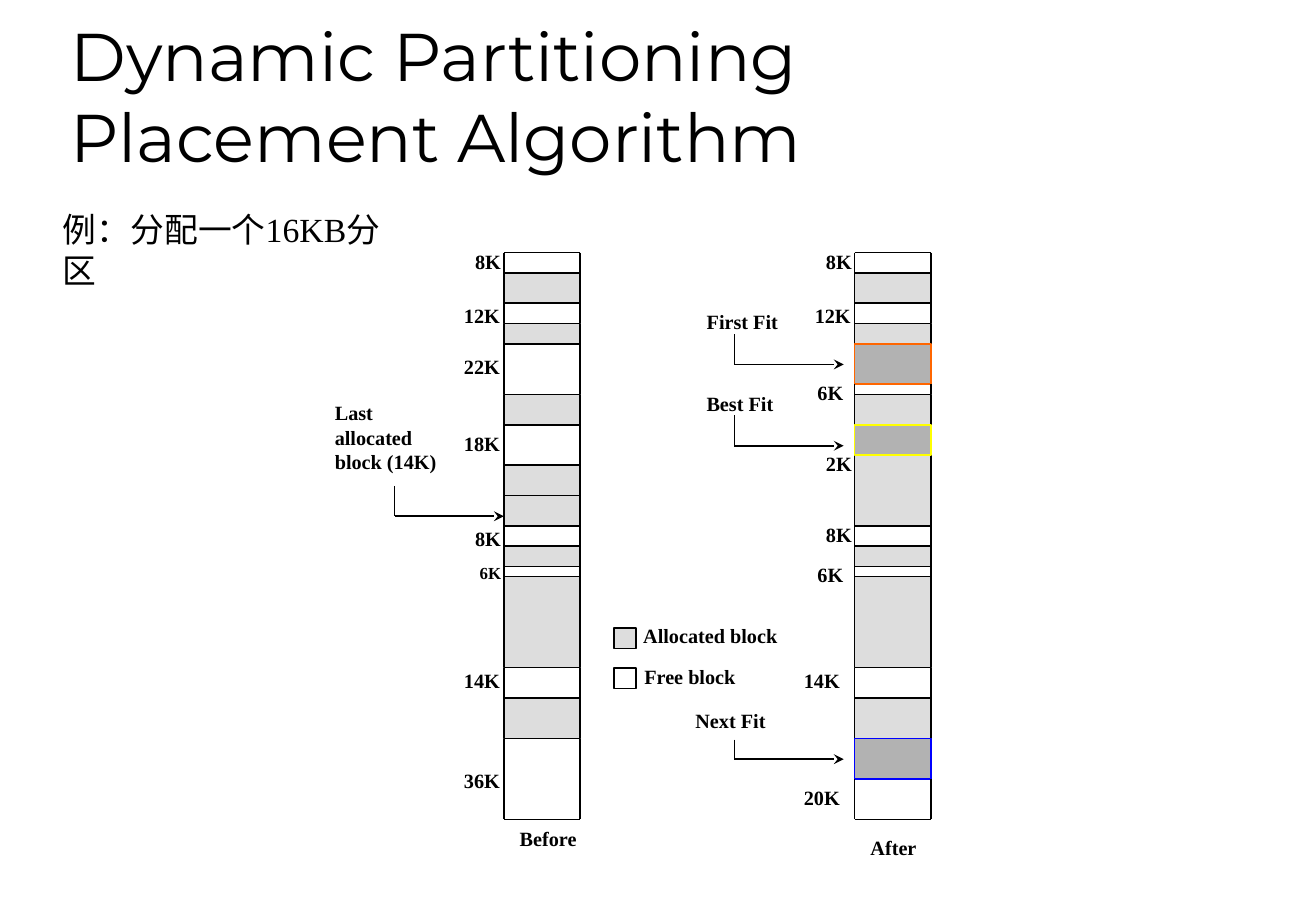
from lxml import etree
from pptx import Presentation
from pptx.dml.color import RGBColor
from pptx.enum.shapes import MSO_CONNECTOR, MSO_SHAPE
from pptx.enum.text import MSO_ANCHOR, MSO_AUTO_SIZE, PP_ALIGN
from pptx.oxml.ns import qn
from pptx.util import Inches, Pt

RECTANGLE = MSO_SHAPE.RECTANGLE
STRAIGHT = MSO_CONNECTOR.STRAIGHT
BOTTOM = MSO_ANCHOR.BOTTOM
NO_FIT = MSO_AUTO_SIZE.NONE
GROW = MSO_AUTO_SIZE.SHAPE_TO_FIT_TEXT
LEFT = PP_ALIGN.LEFT
CENTER = PP_ALIGN.CENTER

SERIF = "Times New Roman"
CJK = "Noto Sans CJK SC"
BLACK = "000000"
MARGINS = {"margin_left": Inches(0.1), "margin_right": Inches(0.1),
           "margin_top": Inches(0.05), "margin_bottom": Inches(0.05)}
TITLE_FRAME = {**MARGINS, "word_wrap": True, "auto_size": NO_FIT,
               "vertical_anchor": BOTTOM}
LABEL_FRAME = {**MARGINS, "word_wrap": False, "auto_size": GROW}
NOTE_FRAME = {**LABEL_FRAME, "word_wrap": True}
TITLE_FONT = {"name": "Montserrat", "size": Pt(40), "bold": False}
LABEL_FONT = {"name": SERIF, "size": Pt(12), "bold": True}
NOTE_FONT = {"name": SERIF, "size": Pt(20), "bold": False}

BLOCK_STYLES = {
    "used": ("DDDDDD", BLACK),
    "first": ("B2B2B2", "FF6600"),
    "best": ("B2B2B2", "FFFF00"),
    "next": ("B2B2B2", "0000FF"),
    "free": ("FFFFFF", BLACK),
}
BLOCK_UNIT = 1 / 12
LABEL_HEIGHT = 0.3
MEMORY_TOP, MEMORY_WIDTH = 2.08, 0.63
BEFORE_LEFT, AFTER_LEFT = 4.15, 7.04
LAST_ALLOCATED_TOP = 4.08

BEFORE_BLOCKS = [
    ("free", 2), ("used", 3), ("free", 2), ("used", 2), ("free", 5), ("used", 3),
    ("free", 4), ("used", 6), ("free", 2), ("used", 2), ("free", 1),
    ("used", 9), ("free", 3), ("used", 4), ("free", 8),
]
AFTER_BLOCKS = [
    ("free", 2), ("used", 3), ("free", 2), ("used", 2), ("first", 4), ("free", 1),
    ("used", 3), ("best", 3), ("used", 7), ("free", 2), ("used", 2), ("free", 1),
    ("used", 9), ("free", 3), ("used", 4), ("next", 4), ("free", 4),
]
BEFORE_SIZES = [
    ("8K", 0.08, 2, 12), ("12K", 0.07, 2.45, 12), ("22K", 0.07, 2.87, 12),
    ("18K", 0.07, 3.5, 12), ("8K", 0.08, 4.28, 12), ("6K", 0.08, 4.58, 10),
    ("14K", 0.07, 5.45, 12), ("36K", 0.07, 6.28, 12),
]
AFTER_SIZES = [
    ("8K", 0.08, 2, 12), ("12K", 0.07, 2.45, 12), ("6K", 0.01, 3.08, 12),
    ("2K", 0.08, 3.67, 12), ("8K", 0.08, 4.25, 12), ("6K", 0.01, 4.58, 12),
    ("14K", -0.02, 5.45, 12), ("20K", -0.02, 6.42, 12),
]
SIZE_WIDTHS = {("8K", 12): 0.42, ("6K", 12): 0.42, ("2K", 12): 0.42, ("6K", 10): 0.38}
POINTERS = [
    (["Last", "allocated", "block (14K)"], (2.66, 3.25, 1.04, 0.7), LEFT, (3.25, 4, 4.25)),
    (["First Fit"], (5.72, 2.5, 0.79, LABEL_HEIGHT), CENTER, (6.05, 2.75, 3)),
    (["Best Fit"], (5.72, 3.17, 0.75, LABEL_HEIGHT), CENTER, (6.05, 3.42, 3.67)),
    (["Next Fit"], (5.63, 5.78, 0.78, LABEL_HEIGHT), LEFT, (6.05, 6.09, 6.25)),
]
POINTER_LENGTH = 0.9
LEGEND = [("used", "Allocated block", 0.14, -0.09, 1.31),
          ("free", "Free block", 0.15, -0.08, 0.96)]


def color(hex_value):
    return RGBColor.from_string(hex_value)


def apply(target, values):
    for name, value in values.items():
        setattr(target, name, value)


def add_label(slide, lines, box, align, points=12):
    frame = slide.shapes.add_textbox(*map(Inches, box)).text_frame
    apply(frame, LABEL_FRAME)
    frame.text = "\n".join(lines)
    for paragraph in frame.paragraphs:
        paragraph.alignment = align
        apply(paragraph.runs[0].font, {**LABEL_FONT, "size": Pt(points)})
        paragraph.runs[0].font.color.rgb = color(BLACK)


def add_block(slide, kind, box):
    fill, outline = BLOCK_STYLES[kind]
    block = slide.shapes.add_shape(RECTANGLE, *map(Inches, box))
    block.shadow.inherit = False
    block.fill.solid()
    block.fill.fore_color.rgb = color(fill)
    block.line.color.rgb = color(outline)
    block.line.width = Pt(1)


def add_line(slide, start, end, arrow=False):
    line = slide.shapes.add_connector(STRAIGHT, *map(Inches, start + end))
    line.line.color.rgb = color(BLACK)
    line.line.width = Pt(1)
    properties = line._element.spPr
    if arrow:
        etree.SubElement(properties.find(qn("a:ln")), qn("a:tailEnd"), type="stealth")
    etree.SubElement(properties, qn("a:effectLst"))


def add_title(slide, box):
    title = slide.shapes.title
    apply(title, dict(zip(("left", "top", "width", "height"), map(Inches, box))))
    apply(title.text_frame, TITLE_FRAME)
    title.text_frame.text = "Dynamic Partitioning Placement Algorithm"
    heading = title.text_frame.paragraphs[0]
    heading.alignment = LEFT
    apply(heading.runs[0].font, TITLE_FONT)
    heading.runs[0].font.color.rgb = color(BLACK)


def add_example(slide, box):
    frame = slide.shapes.add_textbox(*map(Inches, box)).text_frame
    apply(frame, NOTE_FRAME)
    for words, typeface in (("例：分配一个16KB", SERIF), ("分区", CJK)):
        run = frame.paragraphs[0].add_run()
        run.text = words
        apply(run.font, {**NOTE_FONT, "name": typeface})
        run.font.color.rgb = color(BLACK)
        etree.SubElement(run._r.get_or_add_rPr(), qn("a:ea"), typeface=CJK)


def add_memory(slide, box, blocks, sizes, dividers=()):
    left, top, width = box
    right, bottom = left + width, top
    placed = []
    for kind, units in blocks:
        height = units * BLOCK_UNIT
        placed.append((kind, (left, bottom, width, height)))
        bottom += height
    placed.sort(key=lambda block: list(BLOCK_STYLES).index(block[0]))
    for kind, block_box in placed:
        if kind == "free":
            for side in (left, right):
                add_line(slide, (side, block_box[1]), (side, block_box[1] + block_box[3]))
        else:
            add_block(slide, kind, block_box)
    for level in (top, *dividers, bottom):
        add_line(slide, (left, level), (right, level))
    for size, overlap, size_top, points in sizes:
        size_width = SIZE_WIDTHS.get((size, points), 0.5)
        size_box = (left + overlap - size_width, size_top, size_width, LABEL_HEIGHT)
        add_label(slide, [size], size_box, CENTER, points)


def add_pointer(slide, lines, box, align, elbow):
    left, top, bottom = elbow
    add_label(slide, lines, box, align)
    add_line(slide, (left, top), (left, bottom))
    add_line(slide, (left, bottom), (left + POINTER_LENGTH, bottom), arrow=True)


def add_legend(slide, box):
    left, top, width, height, pitch = box
    for row, (kind, meaning, indent, rise, label_width) in enumerate(LEGEND):
        row_top = top + row * pitch
        add_block(slide, kind, (left, row_top, width, height))
        label_box = (left + indent, row_top + rise, label_width, LABEL_HEIGHT)
        add_label(slide, [meaning], label_box, LEFT)


def main():
    deck = Presentation()
    deck.slide_width, deck.slide_height = Inches(10.84), Inches(7.5)
    slide = deck.slides.add_slide(deck.slide_layouts[5])
    add_title(slide, (0.48, 0.25, 9.21, 1.25))
    add_memory(slide, (BEFORE_LEFT, MEMORY_TOP, MEMORY_WIDTH),
               BEFORE_BLOCKS, BEFORE_SIZES, [LAST_ALLOCATED_TOP])
    add_memory(slide, (AFTER_LEFT, MEMORY_TOP, MEMORY_WIDTH), AFTER_BLOCKS, AFTER_SIZES)
    add_label(slide, ["Before"], (4.18, 6.75, 0.67, LABEL_HEIGHT), CENTER)
    add_label(slide, ["After"], (7.07, 6.83, 0.58, LABEL_HEIGHT), CENTER)
    for pointer in POINTERS:
        add_pointer(slide, *pointer)
    add_legend(slide, (5.06, 5.17, 0.18, 0.17, 0.33))
    add_example(slide, (0.42, 1.67, 3.08, 0.77))
    deck.save("out.pptx")


if __name__ == "__main__":
    main()
